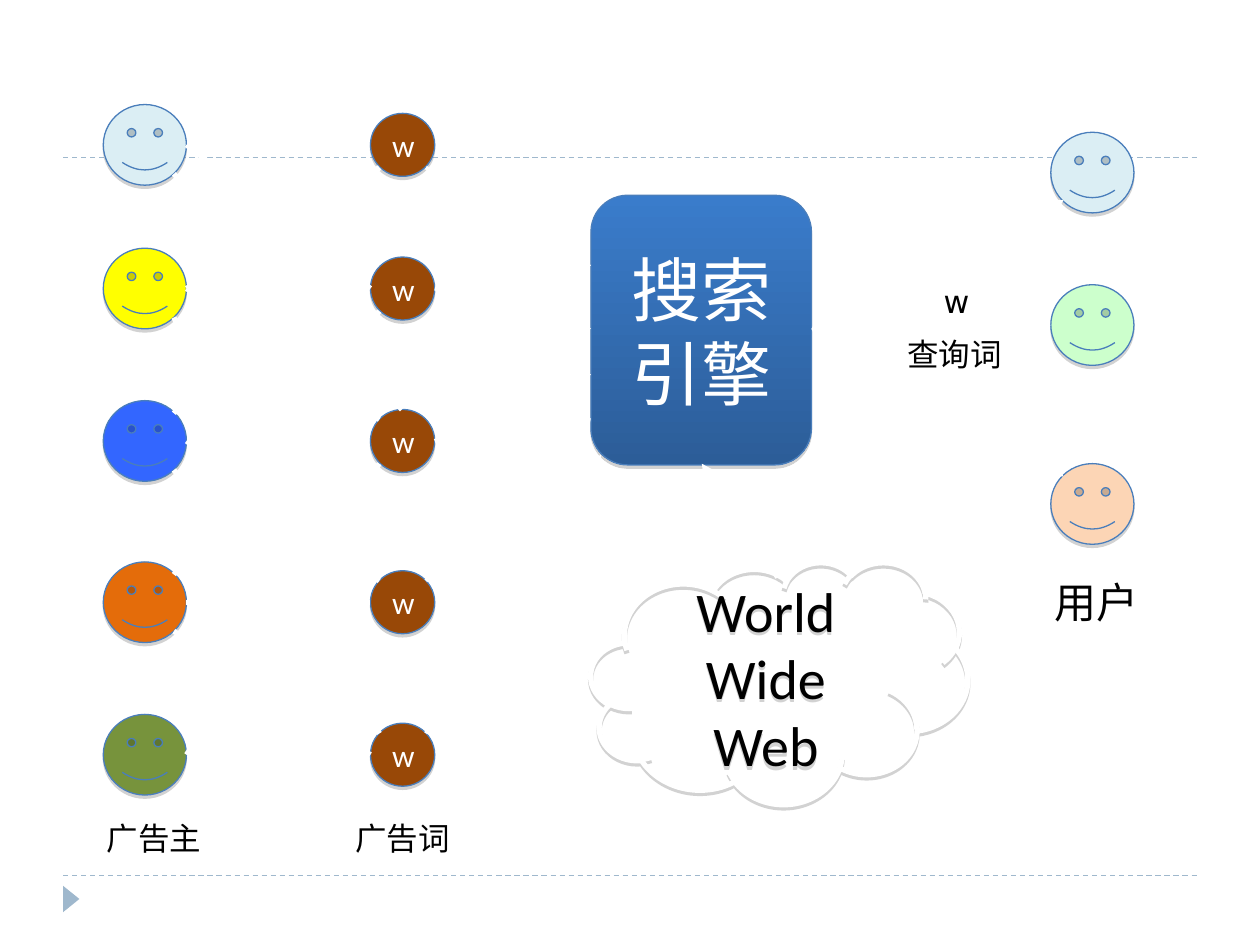
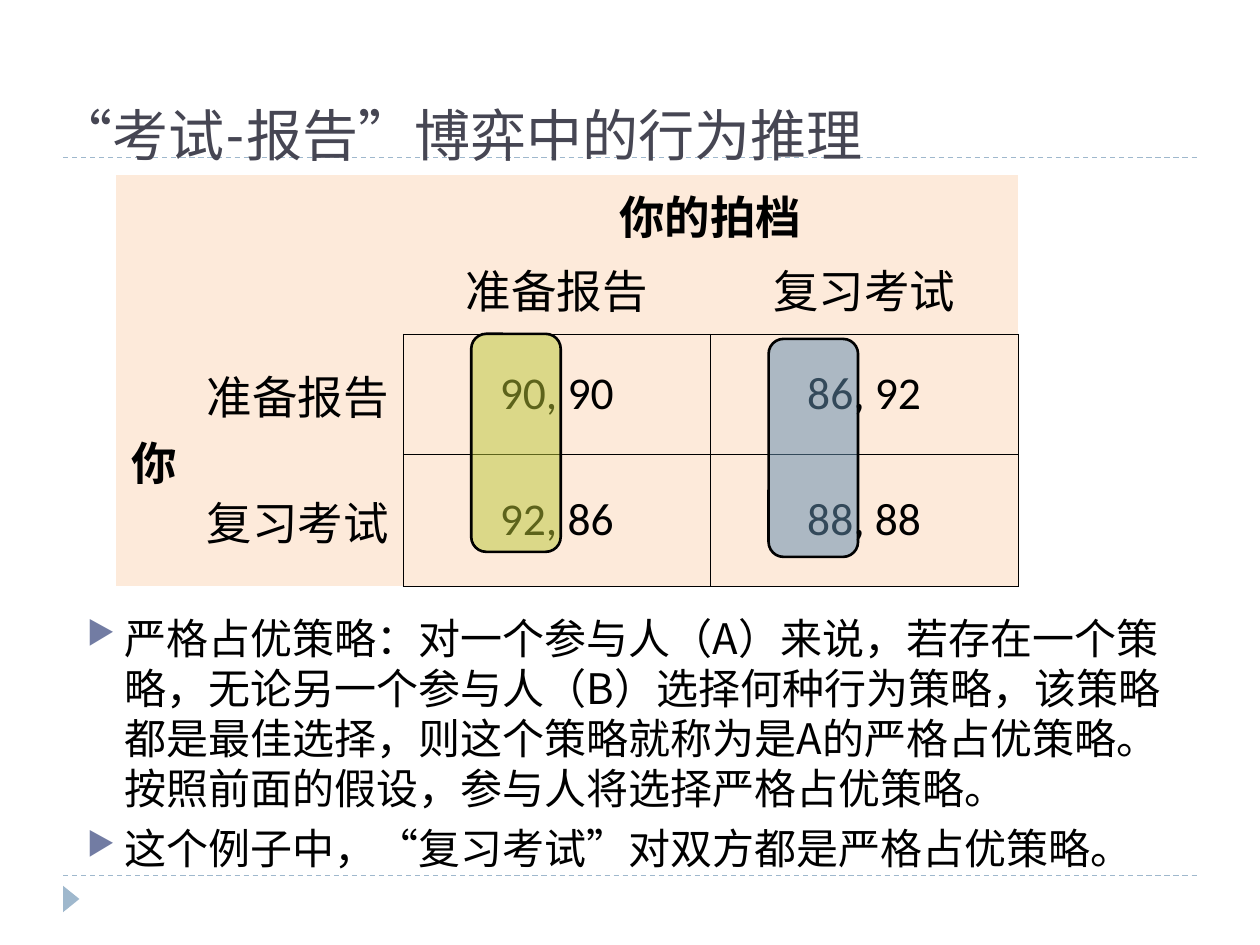
from lxml import etree
from pptx import Presentation
from pptx.dml.color import RGBColor
from pptx.enum.dml import MSO_LINE
from pptx.enum.shapes import MSO_CONNECTOR, MSO_SHAPE
from pptx.enum.text import MSO_ANCHOR, PP_ALIGN
from pptx.oxml import parse_xml
from pptx.oxml.ns import nsdecls, qn
from pptx.util import Inches, Pt

STRAIGHT = MSO_CONNECTOR.STRAIGHT
SMILEY, OVAL, CLOUD = MSO_SHAPE.SMILEY_FACE, MSO_SHAPE.OVAL, MSO_SHAPE.CLOUD
ROUNDED, TRIANGLE = MSO_SHAPE.ROUNDED_RECTANGLE, MSO_SHAPE.ISOSCELES_TRIANGLE
CENTER, MIDDLE, BOTTOM = PP_ALIGN.CENTER, MSO_ANCHOR.MIDDLE, MSO_ANCHOR.BOTTOM
DASH = MSO_LINE.DASH

rgb = RGBColor.from_string
WHITE, BLACK = "FFFFFF", "000000"
RULE, OUTLINE, PEACH = "9FB8CD", "4A7EBB", "FDEADA"
HAN, HAN_BODY, LATIN, SLAB = "Noto Sans CJK SC", "Noto Sans CJK JP", "Calibri", "Roboto Slab"
NO_GRID = "{2D5ABB26-0587-4C30-8999-92F81FD0307C}"


def write(paragraph, text, size=18, font=HAN, han=HAN, color=BLACK, bold=False, align=None, line=None):
    run = paragraph.add_run()
    run.text = text
    run.font.size = Pt(size)
    run.font.name = font
    run.font.bold = bold
    run.font.color.rgb = rgb(color)
    east_asian = etree.SubElement(run.font._element, qn("a:ea"))
    east_asian.set("typeface", han)
    paragraph.alignment = align
    if line:
        paragraph.line_spacing = Pt(line)


def draw_line(slide, x1, y1, x2, y2, color=WHITE, width=3, dash=None, head=None, tail=None):
    connector = slide.shapes.add_connector(STRAIGHT, Inches(x1), Inches(y1), Inches(x2), Inches(y2))
    connector.line.color.rgb = rgb(color)
    connector.line.width = Pt(width)
    if dash:
        connector.line.dash_style = dash
    properties = connector._element.spPr
    for tag, arrow in (("a:headEnd", head), ("a:tailEnd", tail)):
        if arrow:
            etree.SubElement(properties.find(qn("a:ln")), qn(tag)).set("type", arrow)
    etree.SubElement(properties, qn("a:effectLst"))


deck = Presentation()
deck.slide_width, deck.slide_height = Inches(10), Inches(7.5)
market, game = [deck.slides.add_slide(deck.slide_layouts[6]) for _ in range(2)]

for slide in (market, game):
    for y in (6.95, 1.25):
        draw_line(slide, 0.5, y, 9.5, y, RULE, 0.75, DASH)
    marker = slide.shapes.add_shape(TRIANGLE, Inches(0.46), Inches(7.07), Inches(0.21), Inches(0.13))
    marker.rotation = 90
    marker.shadow.inherit = False
    marker.fill.solid()
    marker.fill.fore_color.rgb = rgb(RULE)
    marker.line.fill.background()

advertiser_tops = [0.83, 1.97, 3.18, 4.46, 5.67]
advertiser_colors = ["DBEEF4", "FFFF00", "3366FF", "E46C0A", "77933C"]
faces = [(0.82, top, color) for top, color in zip(advertiser_tops, advertiser_colors)]
faces += [(8.34, 3.68, "FCD5B5"), (8.34, 2.26, "CCFFCC"), (8.34, 1.05, "DBEEF4")]
raised = []
for x, y, color in faces:
    face = market.shapes.add_shape(SMILEY, Inches(x), Inches(y), Inches(0.66), Inches(0.64))
    face.fill.solid()
    face.fill.fore_color.rgb = rgb(color)
    raised.append(face)

for top in advertiser_tops:
    ad_word = market.shapes.add_shape(OVAL, Inches(2.94), Inches(top + 0.07), Inches(0.51), Inches(0.5))
    ad_word.fill.solid()
    ad_word.fill.fore_color.rgb = rgb("984807")
    ad_word.text_frame.vertical_anchor = MIDDLE
    write(ad_word.text_frame.paragraphs[0], "w", font=LATIN, color=WHITE, align=CENTER)
    raised.append(ad_word)

bids = [
    (1.48, 1.15, 2.94, 2.29), (1.38, 5.01, 2.94, 5.99), (1.48, 4.78, 2.94, 4.78),
    (1.48, 2.29, 3.01, 3.33), (1.48, 5.99, 3.01, 3.68), (1.38, 2.52, 3.01, 5.82),
    (1.48, 2.29, 3.01, 1.33), (1.48, 3.5, 3.01, 4.61), (1.38, 3.28, 3.01, 1.33),
    (1.38, 1.38, 3.19, 3.25), (1.38, 4.56, 3.01, 2.47), (1.38, 3.73, 3.01, 5.82),
]
for bid in bids:
    draw_line(market, *bid)

engine = market.shapes.add_shape(ROUNDED, Inches(4.69), Inches(1.55), Inches(1.75), Inches(2.14))
engine.fill.gradient()
engine.fill.gradient_angle = 270
for stop, color in zip(engine.fill.gradient_stops, ("3A7CCB", "2C5D98")):
    stop.color.rgb = rgb(color)
engine.text_frame.word_wrap = True
engine.text_frame.vertical_anchor = MIDDLE
write(engine.text_frame.paragraphs[0], "搜索引擎", size=40, color=WHITE, align=CENTER, line=48)

web = market.shapes.add_shape(CLOUD, Inches(4.69), Inches(4.46), Inches(2.99), Inches(1.92))
web.fill.background()
web.text_frame.word_wrap = True
web.text_frame.vertical_anchor = MIDDLE
write(web.text_frame.paragraphs[0], "World Wide Web", size=32, font=LATIN, align=CENTER)

for shape in raised + [engine, web]:
    shape.line.color.rgb = rgb(WHITE if shape is web else OUTLINE)
    shape.line.width = Pt(3 if shape is web else 0.75)
    shape.shadow.inherit = False
    shape._element.spPr.find(qn("a:effectLst")).append(parse_xml(
        f'<a:outerShdw {nsdecls("a")} blurRad="0" dist="{Pt(1.8)}" dir="5400000" rotWithShape="0">'
        '<a:srgbClr val="808080"><a:alpha val="35000"/></a:srgbClr></a:outerShdw>'))

for query in [(6.44, 2.61, 8.44, 1.59), (6.52, 2.61, 8.34, 2.58), (6.44, 2.61, 8.44, 3.78)]:
    draw_line(market, *query, width=2.25, head="arrow", tail="arrow")

labels = [
    ("w", 7.39, 2.19, 0.37, 18, "DejaVu Sans"),
    ("广告主", 0.75, 6.45, 1.02, 18, HAN),
    ("用户", 8.27, 4.53, 0.87, 24, HAN),
    ("广告词", 2.72, 6.45, 1.02, 18, HAN),
    ("查询词", 7.1, 2.61, 1.02, 18, HAN),
]
for text, x, y, width, size, font in labels:
    label = market.shapes.add_textbox(Inches(x), Inches(y), Inches(width), Inches(size / 60 + 0.1))
    label.text_frame.word_wrap = False
    write(label.text_frame.paragraphs[0], text, size=size, font=font)

matches = [
    (3.38, 1.33, 4.69, 2.11), (3.45, 2.29, 4.69, 2.61), (3.45, 3.5, 4.69, 2.97),
    (3.38, 4.61, 4.69, 3.32), (3.38, 5.82, 4.77, 3.61),
]
for match in matches:
    draw_line(market, *match, width=2.25, tail="arrow")
draw_line(market, 6.19, 4.57, 5.57, 3.68, width=6, tail="triangle")

title = game.shapes.add_textbox(Inches(0.35), Inches(0.3), Inches(9.15), Inches(1.03)).text_frame
title.word_wrap = True
title.vertical_anchor = BOTTOM
title.margin_bottom = 0
for text, font in (("“", LATIN), ("考试-报告", SLAB), ("”", LATIN), ("博弈中的行为推理", SLAB)):
    write(title.paragraphs[0], text, size=32, font=font, color="464653")

reasoning = game.shapes.add_textbox(Inches(0.59), Inches(4.77), Inches(8.91), Inches(2.41)).text_frame
reasoning.word_wrap = True
reasoning.margin_top = Inches(0.09)
points = [
    "严格占优策略：对一个参与人（A）来说，若存在一个策略，无论另一个参与人（B）选择何种行为策略，"
    "该策略都是最佳选择，则这个策略就称为是A的严格占优策略。按照前面的假设，参与人将选择严格占优策略。",
    "这个例子中，“复习考试”对双方都是严格占优策略。",
]
for index, text in enumerate(points):
    point = reasoning.add_paragraph() if index else reasoning.paragraphs[0]
    layout = point._p.get_or_add_pPr()
    layout.set("marL", str(Inches(0.3)))
    layout.set("indent", str(-Inches(0.3)))
    for bullet in ('<a:buClr {}><a:srgbClr val="727CA3"/></a:buClr>', '<a:buSzPct {} val="76000"/>',
                   '<a:buChar {} char="▶"/>'):
        layout.append(parse_xml(bullet.format(nsdecls("a"))))
    write(point, text, size=24, font=HAN_BODY, han=HAN_BODY, line=28.6)
    if index:
        point.space_before = Pt(6)

payoffs = game.shapes.add_table(4, 4, Inches(0.92), Inches(1.39), Inches(7.16), Inches(3.26)).table
payoffs.first_row = payoffs.horz_banding = False
payoffs._tbl.tblPr.find(qn("a:tableStyleId")).text = NO_GRID
for column, width in zip(payoffs.columns, (0.61, 1.67, 2.44, 2.44)):
    column.width = Inches(width)
for row, height in zip(payoffs.rows, (0.53, 0.73, 0.95, 1.05)):
    row.height = Inches(height)
payoffs.cell(0, 2).merge(payoffs.cell(0, 3))
payoffs.cell(2, 0).merge(payoffs.cell(3, 0))
payoff_rows = [
    ["", "", "你的拍档", ""],
    ["", "", "准备报告", "复习考试"],
    ["你", "准备报告", "90, 90", "86, 92"],
    ["", "复习考试", "92, 86", "88, 88"],
]
for r, values in enumerate(payoff_rows):
    for c, value in enumerate(values):
        cell = payoffs.cell(r, c)
        cell.fill.solid()
        cell.fill.fore_color.rgb = rgb(PEACH)
        cell.vertical_anchor = MIDDLE
        if value:
            write(cell.text_frame.paragraphs[0], value, size=26, font=LATIN,
                  bold=value in ("你", "你的拍档"), align=CENTER)
        sides = "LRTB" if r > 1 and c > 1 else "B" if r == 1 and c > 1 else "R" if r > 1 and c == 1 else ""
        for position, side in enumerate(sides):
            cell._tc.get_or_add_tcPr().insert(position, parse_xml(
                f'<a:ln{side} {nsdecls("a")} w="{Pt(0.45)}"><a:solidFill><a:srgbClr val="{BLACK}"/>'
                f'</a:solidFill></a:ln{side}>'))

for x, y, color, opacity in ((3.74, 2.65, "BBC737", 50), (6.1, 2.69, "638CAE", 52)):
    highlight = game.shapes.add_shape(ROUNDED, Inches(x), Inches(y), Inches(0.71), Inches(1.73))
    highlight.shadow.inherit = False
    highlight.fill.solid()
    highlight.fill.fore_color.rgb = rgb(color)
    tint = highlight._element.spPr.find(qn("a:solidFill"))[0]
    etree.SubElement(tint, qn("a:alpha")).set("val", str(opacity * 1000))
    highlight.line.color.rgb = rgb(BLACK)
    highlight.line.width = Pt(1.5)

deck.save("out.pptx")
